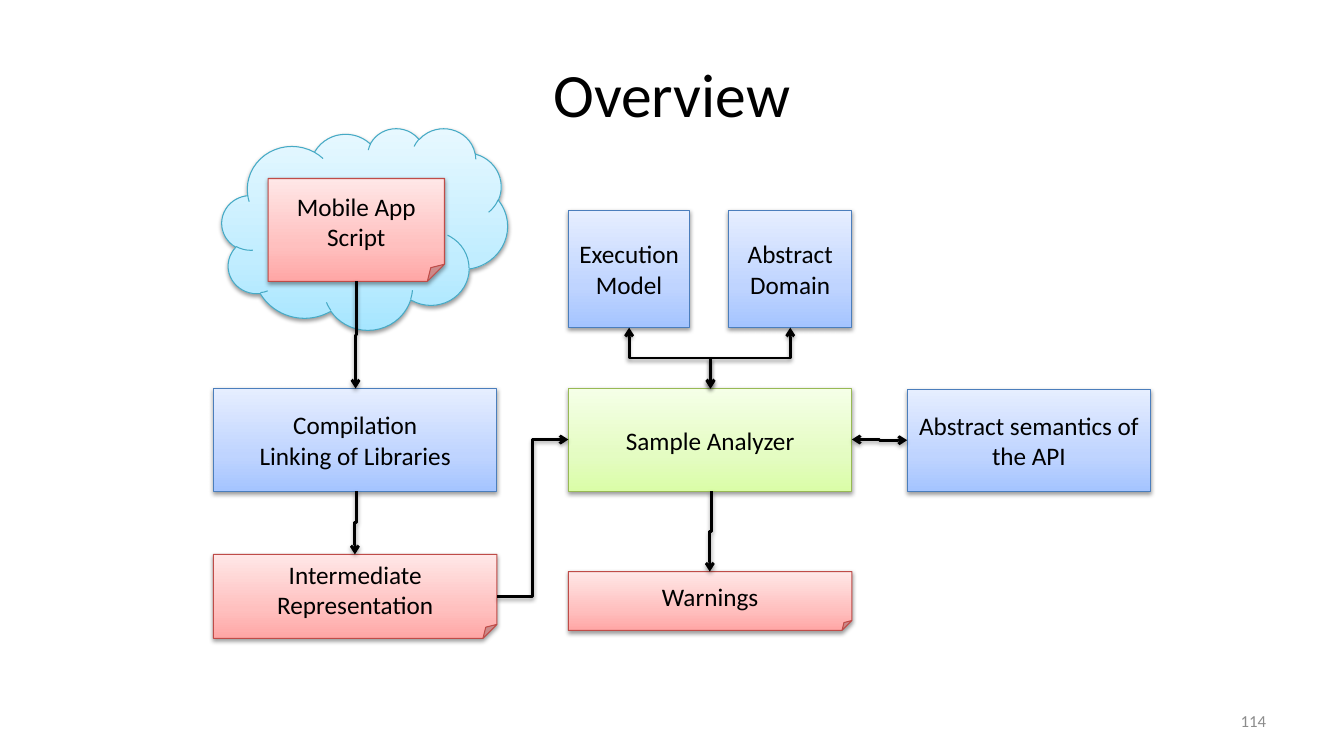
from copy import deepcopy

from lxml import etree
from pptx import Presentation
from pptx.dml.color import RGBColor
from pptx.enum.shapes import MSO_CONNECTOR, MSO_SHAPE
from pptx.enum.text import MSO_ANCHOR, PP_ALIGN
from pptx.oxml.ns import qn
from pptx.util import Pt

RECT, NOTE, CLOUD = MSO_SHAPE.RECTANGLE, MSO_SHAPE.FOLDED_CORNER, MSO_SHAPE.CLOUD
ELBOW = MSO_CONNECTOR.ELBOW
MIDDLE = MSO_ANCHOR.MIDDLE
CENTER, RIGHT = PP_ALIGN.CENTER, PP_ALIGN.RIGHT

BLACK = RGBColor(0x00, 0x00, 0x00)
GRAY = RGBColor(0x8C, 0x8C, 0x8C)
BLUE = (RGBColor(0xA4, 0xC4, 0xFF), RGBColor(0xBF, 0xD4, 0xFF),
        RGBColor(0xE6, 0xEE, 0xFF), RGBColor(0x4B, 0x7E, 0xBC))
RED = (RGBColor(0xFF, 0xA6, 0xA5), RGBColor(0xFF, 0xC0, 0xBF),
       RGBColor(0xFF, 0xE7, 0xE7), RGBColor(0xBF, 0x4C, 0x48))
GREEN = (RGBColor(0xDA, 0xFD, 0xA7), RGBColor(0xE4, 0xFC, 0xC2),
         RGBColor(0xF5, 0xFF, 0xE7), RGBColor(0x98, 0xB9, 0x55))
AQUA = (RGBColor(0xA7, 0xE6, 0xFF), RGBColor(0xC1, 0xED, 0xFF),
        RGBColor(0xE7, 0xF8, 0xFF), RGBColor(0x46, 0xAA, 0xC5))
STOPS = (0, 0.35, 1)


def write(tf, text, size=18, color=BLACK, align=CENTER, font="Calibri"):
    """Fill a text frame, one paragraph per line of text."""
    tf.word_wrap = True
    tf.vertical_anchor = MIDDLE
    for i, line in enumerate(text.split("\n")):
        p = tf.add_paragraph() if i else tf.paragraphs[0]
        p.alignment = align
        r = p.add_run()
        r.text = line
        r.font.name, r.font.size = font, Pt(size)
        r.font.color.rgb = color


class Diagram:
    """Draws flow diagram elements on one slide in a shared style."""

    def __init__(self, slide, border=0.75, stroke=2):
        self.shapes = slide.shapes
        self.border, self.stroke = border, stroke

    def shadow(self, sp):
        """Give a shape or connector a soft shadow below it."""
        effects = etree.SubElement(sp._element.spPr, qn("a:effectLst"))
        outer = etree.SubElement(effects, qn("a:outerShdw"), blurRad="40000",
                                 dist="20000", dir="5400000", rotWithShape="0")
        color = etree.SubElement(outer, qn("a:srgbClr"), val=str(BLACK))
        etree.SubElement(color, qn("a:alpha"), val="38000")

    def label(self, x, y, w, h, text, **fmt):
        """Add a plain text box."""
        write(self.shapes.add_textbox(Pt(x), Pt(y), Pt(w), Pt(h)).text_frame, text, **fmt)

    def box(self, kind, x, y, w, h, palette, text=""):
        """Add a shaded shape with an optional caption."""
        sp = self.shapes.add_shape(kind, Pt(x), Pt(y), Pt(w), Pt(h))
        sp.fill.gradient()
        sp.fill.gradient_angle = 90
        stops = sp._element.spPr.find(".//" + qn("a:gsLst"))
        stops.insert(1, deepcopy(stops[0]))
        for stop, position, color in zip(sp.fill.gradient_stops, STOPS, palette):
            stop.color.rgb, stop.position = color, position
        sp.line.color.rgb = palette[-1]
        sp.line.width = Pt(self.border)
        self.shadow(sp)
        if text:
            write(sp.text_frame, text)

    def arrow(self, x1, y1, x2, y2, vertical=True, both=False):
        """Add an elbow arrow that leaves vertically or horizontally."""
        if vertical:
            cx, cy, dx, dy = (x1 + x2) / 2, (y1 + y2) / 2, (x2 - x1) / 2, (y2 - y1) / 2
            x1, y1, x2, y2 = cx - dy, cy + dx, cx + dy, cy - dx
        s = self.shapes.add_connector(ELBOW, Pt(x1), Pt(y1), Pt(x2), Pt(y2))
        if vertical:
            s._element.spPr.find(qn("a:xfrm")).set("rot", "5400000")
        s.line.color.rgb = BLACK
        s.line.width = Pt(self.stroke)
        ln = s._element.spPr.find(qn("a:ln"))
        for end in ("a:headEnd", "a:tailEnd") if both else ("a:tailEnd",):
            etree.SubElement(ln, qn(end), type="arrow")
        self.shadow(s)


def main():
    """Build the overview slide."""
    prs = Presentation()
    prs.slide_width, prs.slide_height = Pt(960), Pt(540)
    d = Diagram(prs.slides.add_slide(prs.slide_layouts[6]))

    left, mid, right, wide = 152.5, 406, 648, 202.5
    row, tall = 277.5, 73.5
    d.box(CLOUD, 158.5, 91.5, 204, 144, AQUA)
    d.label(48, 21.6, 864, 90, "Overview", size=44)
    d.label(687.5, 500.5, 224, 28.8, "114", size=12, color=GRAY, align=RIGHT)

    for kind, x, y, w, h, palette, text in (
        (RECT, right, 278, 174, 73, BLUE, "Abstract semantics of the API"),
        (RECT, mid, 150.3, 86.8, 83.7, BLUE, "Execution Model"),
        (NOTE, 191.5, 127.5, 126, tall, RED, "Mobile App\nScript"),
        (RECT, left, row, wide, tall, BLUE, "Compilation\nLinking of Libraries"),
        (NOTE, left, 396, wide, 60, RED, "Intermediate Representation"),
        (RECT, mid, row, wide, tall, GREEN, "Sample Analyzer"),
        (RECT, 520.5, 150.3, 88, 83.7, BLUE, "Abstract Domain"),
        (NOTE, mid, 408.3, wide, 42, RED, "Warnings"),
    ):
        d.box(kind, x, y, w, h, palette, text)

    for x in (449.4, 564.5):
        d.arrow(x, 234, 507.5, row, both=True)
    d.arrow(right, 314.5, mid + wide, 314, vertical=False, both=True)
    d.arrow(508, 351, 507, 408.3)
    d.arrow(254.5, 351, 253.5, 396)
    d.arrow(254.5, 201, 254, row)
    d.arrow(left + wide, 426, mid, 314, vertical=False)
    prs.save("out.pptx")


if __name__ == "__main__":
    main()
